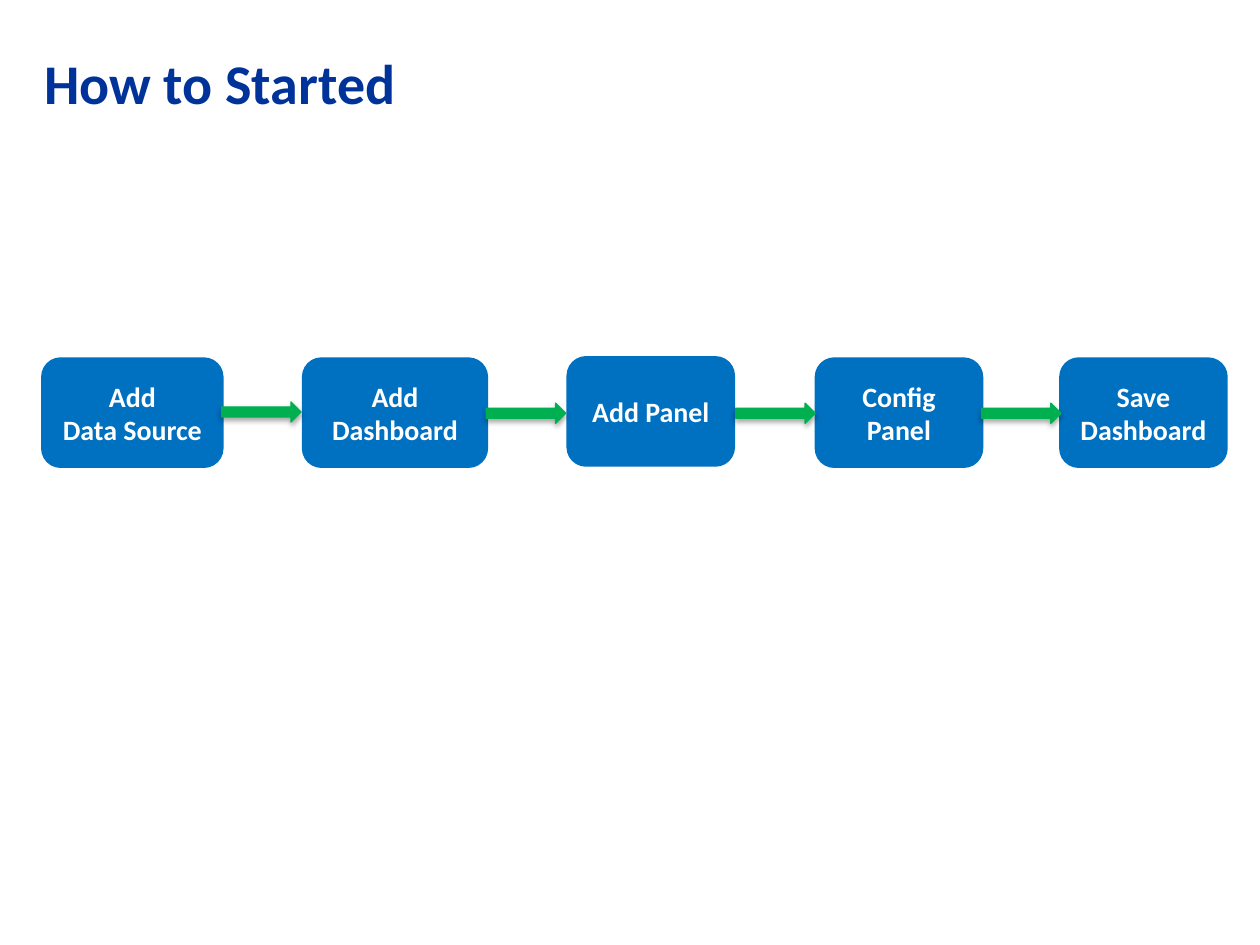
from lxml import etree
from pptx import Presentation
from pptx.dml.color import RGBColor
from pptx.enum.shapes import MSO_SHAPE
from pptx.enum.text import MSO_ANCHOR, PP_ALIGN
from pptx.oxml.ns import qn
from pptx.util import Inches, Pt

BLUE, GREEN, NAVY, WHITE = "0070C0", "00B050", "003399", "FFFFFF"

# Step text, left, top, width
STEPS = [
    ("Add\nData Source", 0.34, 2.85, 1.42),
    ("Add Dashboard", 2.41, 2.85, 1.45),
    ("Add Panel", 4.51, 2.84, 1.31),
    ("Config Panel", 6.48, 2.85, 1.31),
    ("Save Dashboard", 8.42, 2.85, 1.31),
]
STEP_HEIGHT = 0.85

# Arrow left, top
ARROWS = [(1.76, 3.19), (3.86, 3.2), (5.84, 3.2), (7.79, 3.2)]


def rgb(color):
    return RGBColor.from_string(color)


def set_font(p, size, color):
    p.font.name = "Calibri"
    p.font.size = Pt(size)
    p.font.bold = True
    p.font.color.rgb = rgb(color)


def add_title(s, text):
    title = s.shapes.title
    title.left, title.top = Inches(0.25), Inches(0.29)
    title.width, title.height = Inches(9.44), Inches(0.72)
    tf = title.text_frame
    tf.text = text
    tf.vertical_anchor = MSO_ANCHOR.MIDDLE
    p = tf.paragraphs[0]
    p.alignment = PP_ALIGN.LEFT
    set_font(p, 32, NAVY)


def add_block(s, kind, left, top, width, height, color, line_width):
    sp = s.shapes.add_shape(kind, Inches(left), Inches(top),
                            Inches(width), Inches(height))
    sp.shadow.inherit = False
    sp.fill.solid()
    sp.fill.fore_color.rgb = rgb(color)
    sp.line.color.rgb = rgb(color)
    sp.line.width = Pt(line_width)
    return sp


def add_step(s, text, left, top, width):
    sp = add_block(s, MSO_SHAPE.ROUNDED_RECTANGLE, left, top, width,
                   STEP_HEIGHT, BLUE, 2)
    tf = sp.text_frame
    tf.word_wrap = True
    tf.vertical_anchor = MSO_ANCHOR.MIDDLE
    tf.text = text
    for p in tf.paragraphs:
        p.alignment = PP_ALIGN.CENTER
        set_font(p, 16, WHITE)


def add_shadow(sp):
    effects = sp.element.spPr.find(qn("a:effectLst"))
    shadow = etree.SubElement(effects, qn("a:outerShdw"), blurRad=str(Pt(3.1)),
                              dist=str(Pt(1.8)), dir="5400000", rotWithShape="0")
    color = etree.SubElement(shadow, qn("a:srgbClr"), val="000000")
    etree.SubElement(color, qn("a:alpha"), val="35000")


def add_arrow(s, left, top):
    sp = add_block(s, MSO_SHAPE.RIGHT_ARROW, left, top, 0.63, 0.16, GREEN, 0.75)
    add_shadow(sp)


def main():
    prs = Presentation()
    prs.slide_width, prs.slide_height = Inches(10), Inches(7.5)
    s = prs.slides.add_slide(prs.slide_layouts[5])

    add_title(s, "How to Started")

    # Process flow
    for step in STEPS:
        add_step(s, *step)
    for arrow in ARROWS:
        add_arrow(s, *arrow)

    prs.save("out.pptx")


if __name__ == "__main__":
    main()
